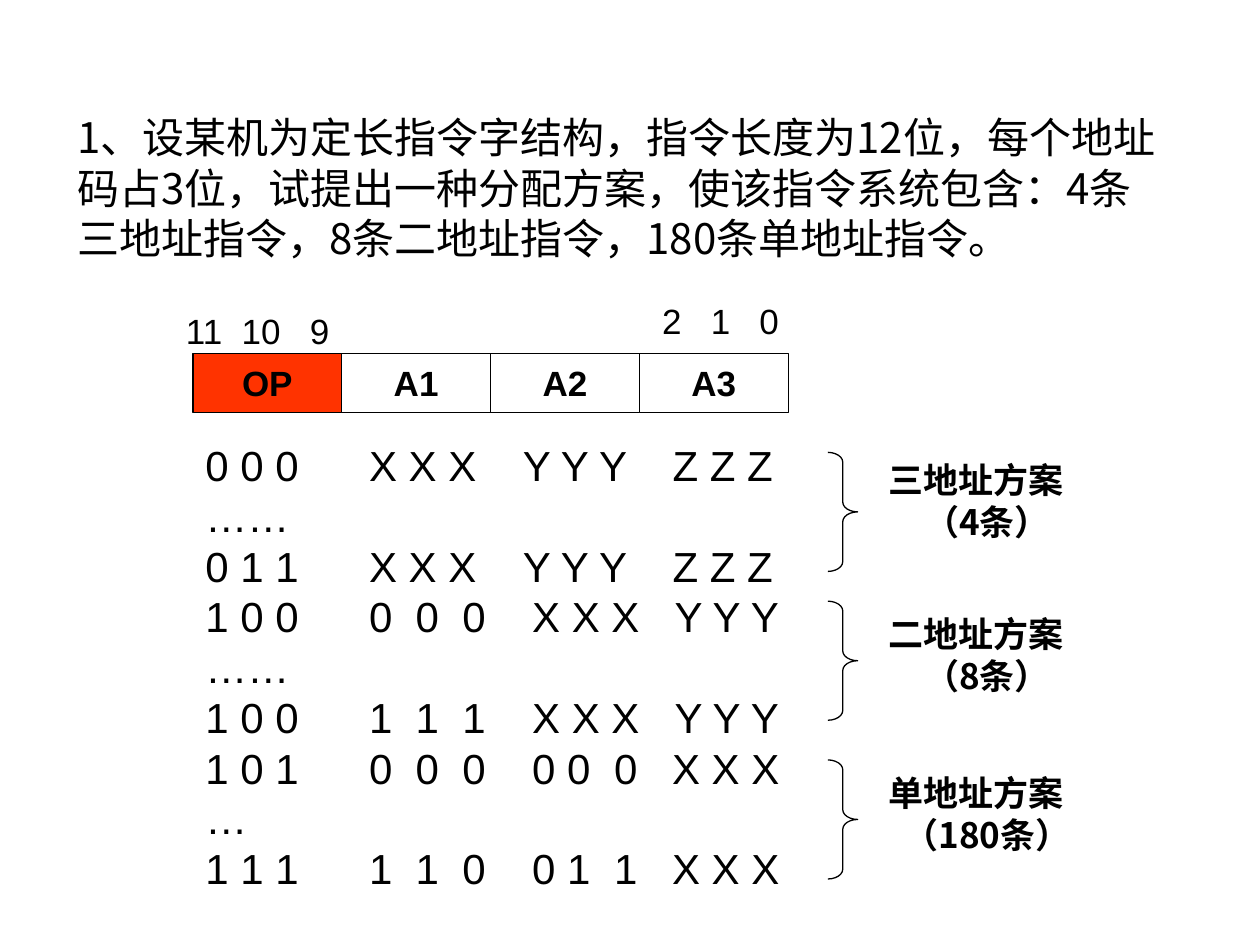
from lxml.etree import SubElement as Sub
from pptx import Presentation
from pptx.dml.color import RGBColor
from pptx.enum.shapes import MSO_SHAPE as Shape
from pptx.enum.text import MSO_ANCHOR as Anchor, MSO_AUTO_SIZE as Auto, PP_ALIGN as Align
from pptx.oxml.ns import qn
from pptx.util import Cm, Pt

LATIN, HAN = "Arial", "Noto Sans CJK SC"
BLACK, WHITE, RED = "000000", "FFFFFF", "FF3300"

QUESTION = ("1、设某机为定长指令字结构，指令长度为12位，每个地址码占3位，试提出一种分配方案，"
            "使该指令系统包含：4条三地址指令，8条二地址指令，180条单地址指令。")
FIELDS = [("OP", RED), ("A1", WHITE), ("A2", WHITE), ("A3", WHITE)]
THREE = (3.3, 6.4, 9.42)
TWO = (3.3, 4.24, 5.18, 6.59, 9.46)
ONE = (3.3, 4.24, 5.18, 6.59, 8.24, 9.41)
CODES = [
    ("0 0 0\tX X X\tY Y Y\tZ Z Z", THREE),
    ("……", ()),
    ("0 1 1\tX X X\tY Y Y\tZ Z Z", THREE),
    ("1 0 0\t0\t0\t0\tX X X\tY Y Y", TWO),
    ("……", ()),
    ("1 0 0\t1\t1\t1\tX X X\tY Y Y", TWO),
    ("1 0 1\t0\t0\t0\t0 0\t0\tX X X", ONE),
    ("…", ()),
    ("1 1 1\t1\t1\t0\t0 1\t1\tX X X", ONE),
]
PLANS = [
    ("三地址方案", "（4条）", 9.12, 9.12),
    ("二地址方案", "（8条）", 12.12, 12.22),
    ("单地址方案", "（180条）", 15.32, 15.42),
]


def color(code):
    """Turn a hex string into a colour."""
    return RGBColor.from_string(code)


def style(para, text, size, face, bold=False, align=Align.LEFT, tabs=(), indent=0):
    """Fill one paragraph and set its tabs and font."""
    para.text = text
    para.alignment = align
    props = para._p.get_or_add_pPr()
    if indent:
        props.set("marL", str(Cm(indent)))
    if tabs:
        stops = Sub(props, qn("a:tabLst"))
        for pos in tabs:
            Sub(stops, qn("a:tab"), pos=str(Cm(pos)), algn="l")
    font = para.font
    font.size, font.bold, font.name = Pt(size), bold, face
    font.color.rgb = color(BLACK)
    Sub(props.find(qn("a:defRPr")), qn("a:ea"), typeface=face)


def add_text(slide, left, top, width, height):
    """Add a wrapping text box and return its frame."""
    frame = slide.shapes.add_textbox(Cm(left), Cm(top), Cm(width), Cm(height)).text_frame
    frame.word_wrap = True
    return frame


def add_shape(slide, kind, left, top, width, height):
    """Add a preset shape with a thin black line."""
    shape = slide.shapes.add_shape(kind, Cm(left), Cm(top), Cm(width), Cm(height))
    shape.shadow.inherit = False
    shape.line.color.rgb = color(BLACK)
    shape.line.width = Pt(0.75)
    return shape


def set_title(slide):
    """Place the question in the title."""
    title = slide.shapes.title
    title.left, title.top, title.width, title.height = Cm(1.3), Cm(2.13), Cm(22.6), Cm(3.3)
    frame = title.text_frame
    frame.word_wrap = True
    frame.auto_size = Auto.NONE
    frame.vertical_anchor = Anchor.TOP
    style(frame.paragraphs[0], QUESTION, 24, HAN)


def add_field(slide, name, fill, left):
    """Add one field of the instruction word."""
    box = add_shape(slide, Shape.RECTANGLE, left, 7.12, 3, 1.2)
    box.fill.solid()
    box.fill.fore_color.rgb = color(fill)
    frame = box.text_frame
    frame.word_wrap = False
    frame.vertical_anchor = Anchor.MIDDLE
    style(frame.paragraphs[0], name, 20, LATIN, True, Align.CENTER)


def add_bits(slide, text, left, top, width, tabs):
    """Add bit numbers above a field."""
    frame = add_text(slide, left, top, width, 1.1)
    style(frame.paragraphs[0], text, 20, LATIN, tabs=tabs)


def add_codes(slide):
    """Add the list of operation codes."""
    frame = add_text(slide, 3.89, 8.74, 12.2, 9.4)
    for num, (text, tabs) in enumerate(CODES):
        para = frame.add_paragraph() if num else frame.paragraphs[0]
        style(para, text, 24, LATIN, tabs=tabs)


def add_plan(slide, name, count, top, label):
    """Add a brace with the plan it stands for."""
    brace = add_shape(slide, Shape.RIGHT_BRACE, 16.69, top, 0.6, 2.4)
    brace.fill.background()
    brace.adjustments[0] = 0.33
    frame = add_text(slide, 17.5, label, 4.8, 1.96)
    style(frame.paragraphs[0], name, 20, HAN, True, indent=0.16)
    style(frame.add_paragraph(), count, 20, HAN, True, Align.CENTER)


def main():
    """Build the slide."""
    deck = Presentation()
    deck.slide_width, deck.slide_height = Cm(25.4), Cm(19.05)
    slide = deck.slides.add_slide(deck.slide_layouts[5])
    set_title(slide)
    for num, (name, fill) in enumerate(FIELDS):
        add_field(slide, name, fill, 3.89 + 3 * num)
    add_bits(slide, "2\t1\t0", 13.1, 5.92, 3, (0.98, 1.96))
    add_bits(slide, "11\t10\t9", 3.5, 6.12, 3.8, (1.12, 2.5))
    add_codes(slide)
    for plan in PLANS:
        add_plan(slide, *plan)
    deck.save("out.pptx")


if __name__ == "__main__":
    main()
